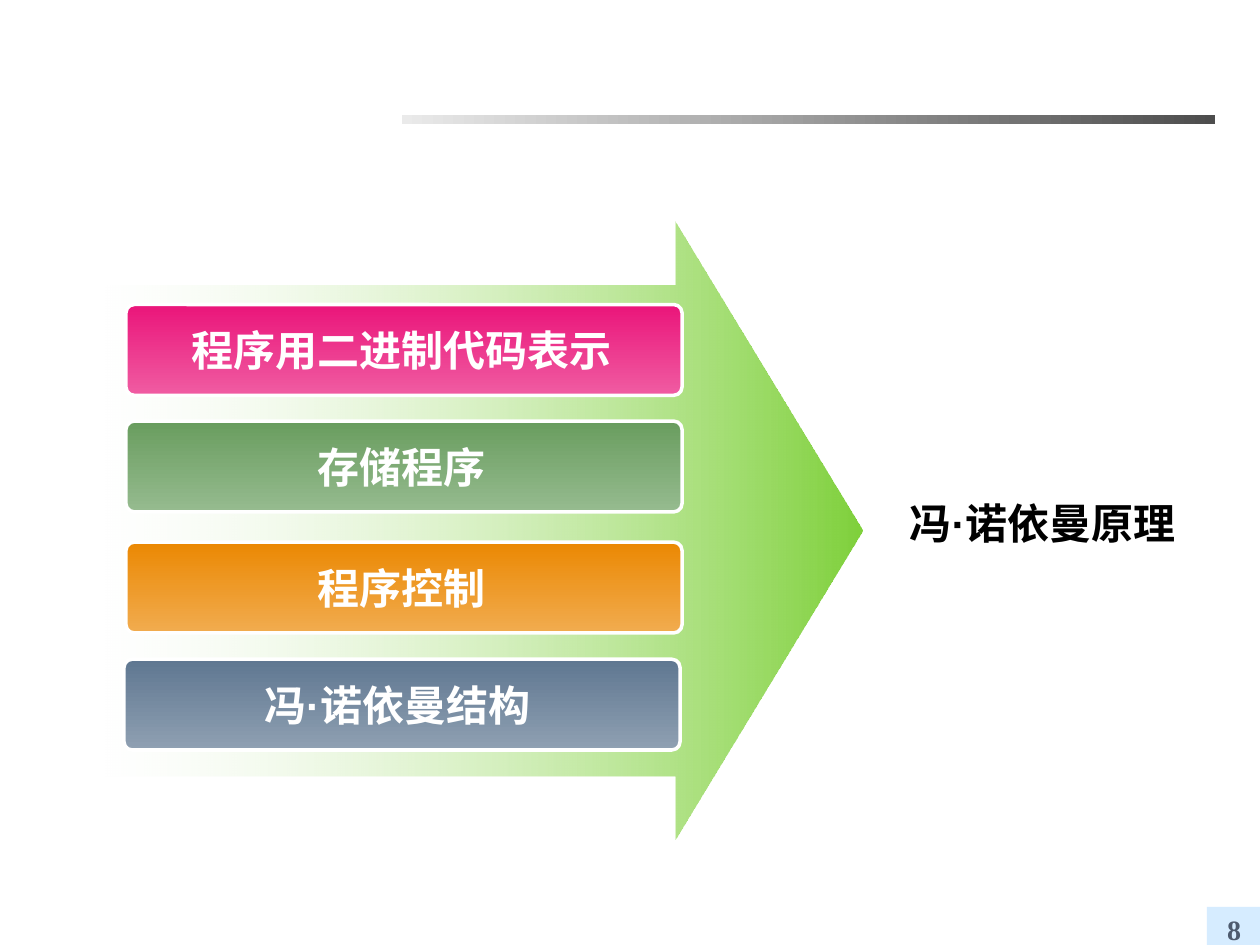
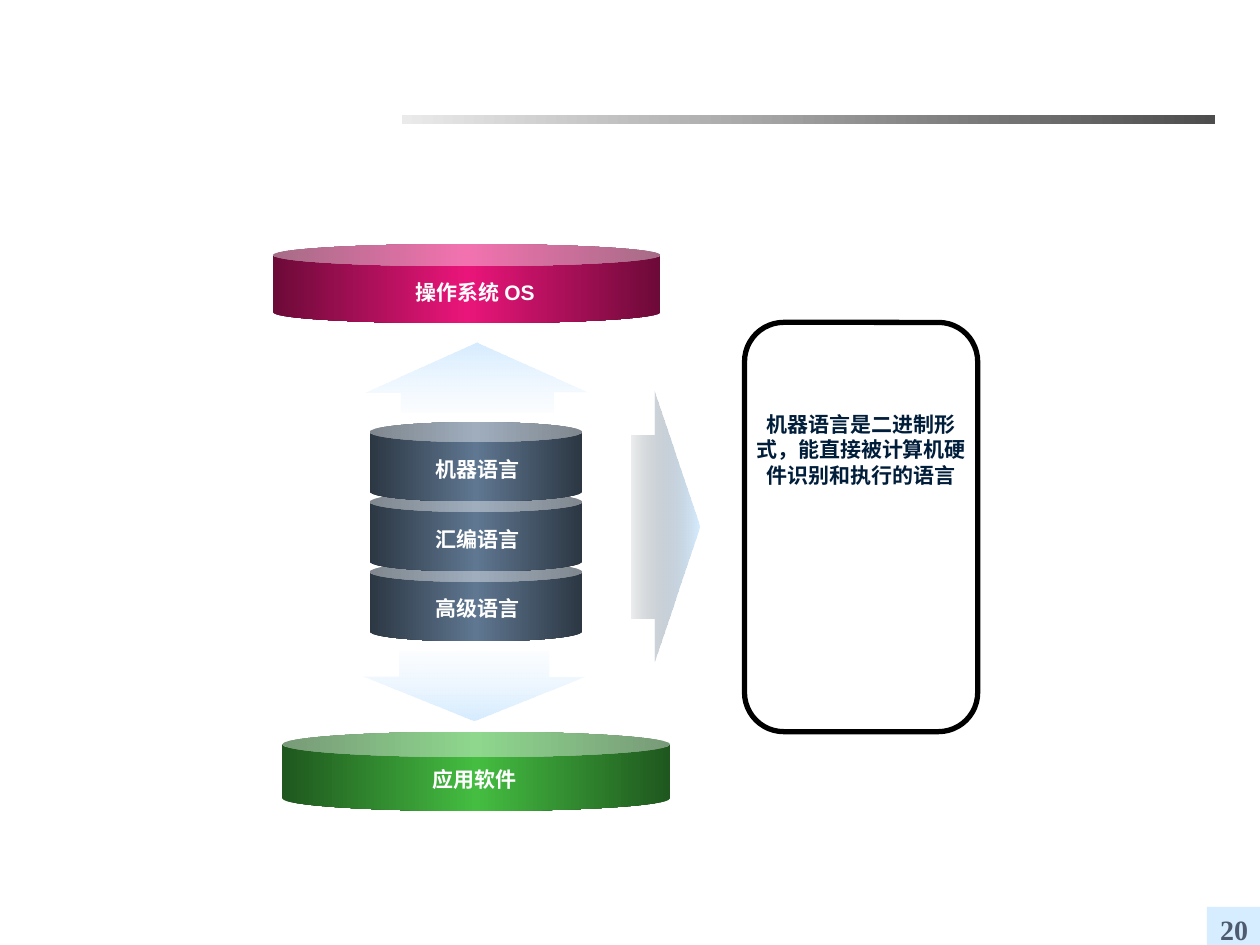
from lxml.etree import SubElement
from pptx import Presentation
from pptx.dml.color import RGBColor as RGB
from pptx.enum.lang import MSO_LANGUAGE_ID as LANG
from pptx.enum.shapes import MSO_SHAPE as SHAPE
from pptx.enum.text import MSO_ANCHOR as ANCHOR, PP_ALIGN as ALIGN
from pptx.oxml.ns import qn
from pptx.util import Cm, Pt

C = {
    "white": "FFFFFF", "black": "000000", "navy": "001D3A",
    "silver": "EAEAEA", "charcoal": "4D4D4D", "grey": "636D76",
    "sky": "D6ECFF", "pale sky": "E5F3FF", "number": "4E5B6F",
    "lime": "7FD13B", "pink": "EA157A", "light pink": "F05CA2",
    "dark pink": "6C0A38", "sage": "699D5F", "light sage": "96BB8F",
    "orange": "EB8803", "light orange": "F1AC4F", "slate": "5F7791",
    "light slate": "8FA0B2", "dark slate": "2C3743",
    "green": "44BD41", "dark green": "1F571E",
}
RIGHT, DOWN = 0, 270


def add_shape(slide, kind, box, stops=(), angle=RIGHT, adj=(), line=None, width=2):
    """Stops are colour names or (name, opacity); one is solid, none is no fill."""
    sp = slide.shapes.add_shape(kind, *[Cm(v) for v in box])
    sp.shadow.inherit = False
    for i, value in enumerate(adj):
        sp.adjustments[i] = value
    if line:
        sp.line.color.rgb = RGB.from_string(C[line])
        sp.line.width = Pt(width)
    else:
        sp.line.fill.background()
    if not stops:
        sp.fill.background()
    elif len(stops) == 1:
        sp.fill.solid()
        sp.fill.fore_color.rgb = RGB.from_string(C[stops[0]])
    else:
        sp.fill.gradient()
        sp.fill.gradient_angle = angle
        gs_list = next(sp.element.iter(qn("a:gsLst")))
        for gs in list(gs_list):
            gs_list.remove(gs)
        for i, stop in enumerate(stops):
            name, opacity = (stop, 100) if isinstance(stop, str) else stop
            gs = SubElement(gs_list, qn("a:gs"), pos=str(100000 * i // (len(stops) - 1)))
            clr = SubElement(gs, qn("a:srgbClr"), val=C[name])
            if opacity < 100:
                SubElement(clr, qn("a:alpha"), val=str(opacity * 1000))
    return sp


def write(sp, text, size=12, color="white", font="Arial", wrap=False,
          anchor=ANCHOR.TOP, inset=(0.25, 0.13), tail=None):
    """Tail is the size of a closing space."""
    tf = sp.text_frame
    tf.word_wrap = wrap
    tf.vertical_anchor = anchor
    tf.margin_left = tf.margin_right = Cm(inset[0])
    tf.margin_top = tf.margin_bottom = Cm(inset[1])
    p = tf.paragraphs[0]
    p.alignment = ALIGN.CENTER
    p._p.get_or_add_pPr().set("hangingPunct", "0")
    for part, points in [(text, size)] + ([(" ", tail)] if tail else []):
        r = p.add_run()
        r.text = part
        r.font.name, r.font.size, r.font.bold = font, Pt(points), True
        r.font.color.rgb = RGB.from_string(C[color])
        r.font.language_id = LANG.SIMPLIFIED_CHINESE


prs = Presentation()
prs.slide_width, prs.slide_height = Cm(25.4), Cm(19.05)
blank = prs.slide_layouts[6]

# Shared parts: gradient band on the layout, number box on each slide
slides = []
for number in ("8", "20"):
    s = prs.slides.add_slide(blank)
    sp = add_shape(s, SHAPE.RECTANGLE, (24.33, 18.28, 1.1, 0.9), ["sky"])
    write(sp, number, size=16, color="number", font="Times New Roman",
          wrap=True, anchor=ANCHOR.MIDDLE, inset=(0.05, 0))
    slides.append(s)
band = add_shape(slides[0], SHAPE.RECTANGLE, (8.1, 2.31, 16.4, 0.2),
                 ["silver", "charcoal"])
blank.shapes.element.append(band.element)

# Slide 1: four principles on an arrow
s = slides[0]
add_shape(s, SHAPE.RIGHT_ARROW, (2.12, 4.46, 15.26, 12.47),
          [("white", 24), "lime"], adj=(0.793, 0.303))
principles = [
    ("程序用二进制代码表示", 2.54, 6.14, "pink", 12),
    ("存储程序", 2.54, 8.49, "sage", 12),
    ("程序控制", 2.54, 10.93, "orange", 12),
    ("冯·诺依曼结构", 2.5, 13.29, "slate", 24),
]
for text, x, y, color, tail in principles:
    sp = add_shape(s, SHAPE.ROUNDED_RECTANGLE, (x, y, 11.21, 1.83),
                   [color, "light " + color], DOWN, adj=[0.091], line="white")
    write(sp, text, size=24, anchor=ANCHOR.MIDDLE, tail=tail)
sp = add_shape(s, SHAPE.ROUNDED_RECTANGLE, (17.53, 8.73, 6.98, 3.6), adj=[0.091])
write(sp, "冯·诺依曼原理", size=24, color="black", wrap=True, anchor=ANCHOR.MIDDLE)

# Slide 2: stack of languages, lowest can first
s = slides[1]
languages = ["机器语言", "汇编语言", "高级语言"]
step = 1.41
for i in reversed(range(len(languages))):
    add_shape(s, SHAPE.CAN, (7.45, 8.51 + i * step, 4.29, 1.6),
              ["dark slate", "slate", "dark slate"], adj=[0.25])

# Cans above and below the stack
for y, x, color, adj in [(4.92, 5.5, "pink", 0.279), (14.75, 5.69, "green", 0.32)]:
    add_shape(s, SHAPE.CAN, (x, y, 7.82, 1.6),
              ["dark " + color, color, "dark " + color], adj=[adj])

# Arrows out of the stack
add_shape(s, SHAPE.UP_ARROW, (7.37, 6.91, 4.5, 1.4),
          ["sky", ("pale sky", 12)], DOWN, adj=(0.684, 0.708))
add_shape(s, SHAPE.DOWN_ARROW, (7.31, 13.13, 4.5, 1.4),
          [("pale sky", 12), "sky"], DOWN, adj=(0.671, 0.641))
add_shape(s, SHAPE.RIGHT_ARROW, (12.73, 7.9, 1.37, 5.44),
          [("grey", 12), "sky"], adj=(0.677, 0.662))

# Can labels, by centre and top
label_width = 4
labels = [(text, 9.63, 9.08 + i * 1.4) for i, text in enumerate(languages)]
labels += [("操作系统 OS", 9.58, 5.51), ("应用软件", 9.57, 15.32)]
for text, center, y in labels:
    sp = s.shapes.add_textbox(Cm(center - label_width / 2), Cm(y),
                              Cm(label_width), Cm(0.76))
    write(sp, text, wrap=True)

# Explanation panel
add_shape(s, SHAPE.ROUNDED_RECTANGLE, (15.01, 6.5, 4.7, 8.25),
          adj=[0.168], line="black", width=3)
write(s.shapes.add_textbox(Cm(14.91), Cm(8.17), Cm(4.9), Cm(1.78)),
      "机器语言是二进制形式，能直接被计算机硬件识别和执行的语言",
      color="navy", font="DejaVu Sans", wrap=True)

prs.save("out.pptx")
